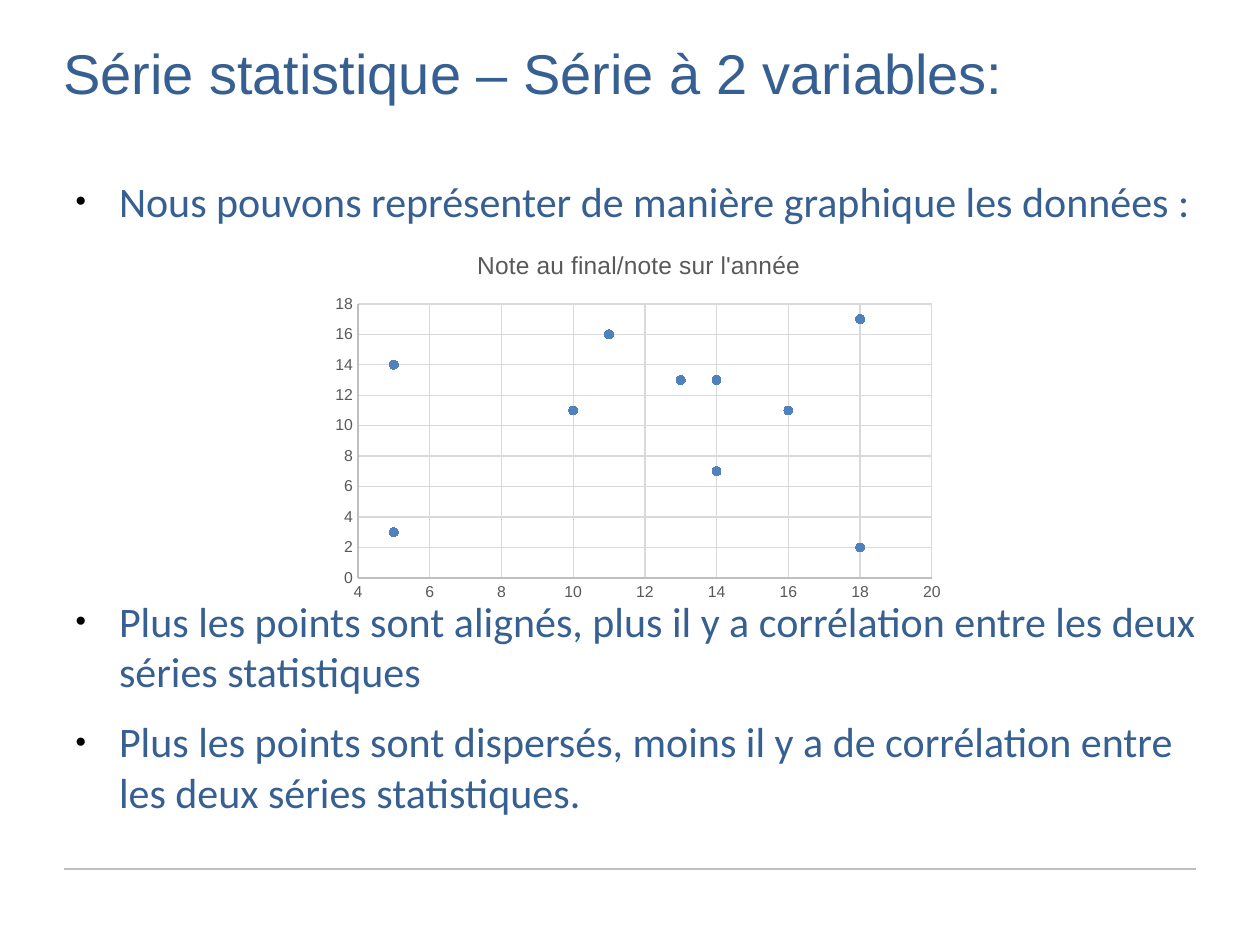
"""Build a slide on two-variable statistical series with a scatter chart."""
from lxml import etree
from pptx import Presentation
from pptx.chart.data import XyChartData
from pptx.dml.color import RGBColor
from pptx.enum.chart import XL_CHART_TYPE, XL_MARKER_STYLE, XL_TICK_MARK
from pptx.enum.shapes import MSO_CONNECTOR
from pptx.enum.text import MSO_ANCHOR, MSO_AUTO_SIZE, PP_ALIGN
from pptx.oxml import parse_xml
from pptx.oxml.ns import nsdecls, qn
from pptx.util import Pt

SCATTER = XL_CHART_TYPE.XY_SCATTER
CIRCLE = XL_MARKER_STYLE.CIRCLE
NO_TICK = XL_TICK_MARK.NONE
STRAIGHT = MSO_CONNECTOR.STRAIGHT
TOP = MSO_ANCHOR.TOP
NO_FIT = MSO_AUTO_SIZE.NONE
LEFT = PP_ALIGN.LEFT

COLORS = {
    name: RGBColor.from_string(value)
    for name, value in {
        "text": "376092", "rule": "BFBFBF", "grid": "D9D9D9",
        "label": "595959", "point": "4F81BD",
    }.items()
}
TITLE = "Série statistique – Série à 2 variables:"
BULLETS = [
    ("Nous pouvons représenter de manière graphique les données :", 0),
    ("Plus les points sont alignés, plus il y a corrélation entre les deux séries statistiques", 200),
    ("Plus les points sont dispersés, moins il y a de corrélation entre les deux séries statistiques.", 0),
]
POINTS = [(5, 14), (14, 13), (16, 11), (18, 17), (5, 3),
          (10, 11), (11, 16), (14, 7), (13, 13), (18, 2)]
CHART_BOX = (324, 231, 630, 378)
PLOT_BOX = (358, 304, 574, 274)


def px(*values):
    return [round(v * 914400 / 126) for v in values]


def style_font(font, name, size, color):
    font.name, font.size, font.bold = name, Pt(size), False
    font.color.rgb = COLORS[color]


prs = Presentation()
prs.slide_width, prs.slide_height = px(1260, 945)
s = prs.slides.add_slide(prs.slide_layouts[1])
title, body = s.placeholders

rule = s.shapes.add_connector(STRAIGHT, *px(64, 869, 1196, 869))
rule.line.color.rgb = COLORS["rule"]
rule.line.width = Pt(0.75)
etree.SubElement(rule._element.spPr, qn("a:effectLst"))

for sp, box in ((title, (63, 38, 1134, 158)), (body, (63, 175, 1134, 669))):
    sp.left, sp.top, sp.width, sp.height = px(*box)
    tf = sp.text_frame
    tf.margin_left = tf.margin_top = tf.margin_right = tf.margin_bottom = 0
    tf.vertical_anchor = TOP
    tf.word_wrap = True
    tf.auto_size = NO_FIT

title.text_frame.text = TITLE
p = title.text_frame.paragraphs[0]
p.alignment = LEFT
style_font(p.runs[0].font, "Arial", 32, "text")

body.text_frame.text = "\n".join(text for text, gap in BULLETS)
indent, hanging = px(56, -44)
for p, (text, gap) in zip(body.text_frame.paragraphs, BULLETS):
    p.space_before, p.space_after = Pt(gap), Pt(11.3)
    style_font(p.runs[0].font, "Calibri", 24, "text")
    pPr = p._p.get_or_add_pPr()
    pPr.set("marL", str(indent))
    pPr.set("indent", str(hanging))
    for bullet in (
        f'<a:buClr {nsdecls("a")}><a:srgbClr val="000000"/></a:buClr>',
        f'<a:buSzPct {nsdecls("a")} val="45000"/>',
        f'<a:buFont {nsdecls("a")} typeface="Arial"/>',
        f'<a:buChar {nsdecls("a")} char="●"/>',
    ):
        pPr.append(parse_xml(bullet))

data = XyChartData()
series = data.add_series("Series 1")
for x, y in POINTS:
    series.add_data_point(x, y)
chart = s.shapes.add_chart(SCATTER, *px(*CHART_BOX), data).chart
chart.has_legend = False
chart.font.name, chart.font.size = "Arial", Pt(10)
chart.has_title = True
chart.chart_title.include_in_layout = False
tf = chart.chart_title.text_frame
tf.text = "Note au final/note sur l'année"
style_font(tf.paragraphs[0].runs[0].font, "Arial", 14, "label")

for axis, low, high in ((chart.category_axis, 4, 20), (chart.value_axis, 0, 18)):
    axis.minimum_scale, axis.maximum_scale, axis.major_unit = low, high, 2
    axis.major_tick_mark = axis.minor_tick_mark = NO_TICK
    axis.has_major_gridlines = True
    style_font(axis.tick_labels.font, "Arial", 9, "label")
    for line, color in ((axis.format.line, "rule"), (axis.major_gridlines.format.line, "grid")):
        line.color.rgb = COLORS[color]
        line.width = Pt(0.75)

plot = chart.plots[0]
plot.vary_by_categories = False
dots = plot.series[0]
dots.smooth = False
dots.format.line.fill.background()
dots.marker.style, dots.marker.size = CIRCLE, 5
dots.marker.format.fill.solid()
dots.marker.format.fill.fore_color.rgb = COLORS["point"]
dots.marker.format.line.color.rgb = COLORS["point"]

area = chart._chartSpace.find(".//" + qn("c:plotArea"))
for old in area.findall(qn("c:layout")):
    area.remove(old)
left, top, width, height = CHART_BOX
plot_left, plot_top, plot_width, plot_height = PLOT_BOX
layout = parse_xml(f'<c:layout {nsdecls("c")}><c:manualLayout/></c:layout>')
for tag, value in (
    ("layoutTarget", "inner"), ("xMode", "edge"), ("yMode", "edge"),
    ("x", (plot_left - left) / width), ("y", (plot_top - top) / height),
    ("w", plot_width / width), ("h", plot_height / height),
):
    etree.SubElement(layout[0], qn("c:" + tag)).set("val", str(value))
area.insert(0, layout)

prs.save("out.pptx")
